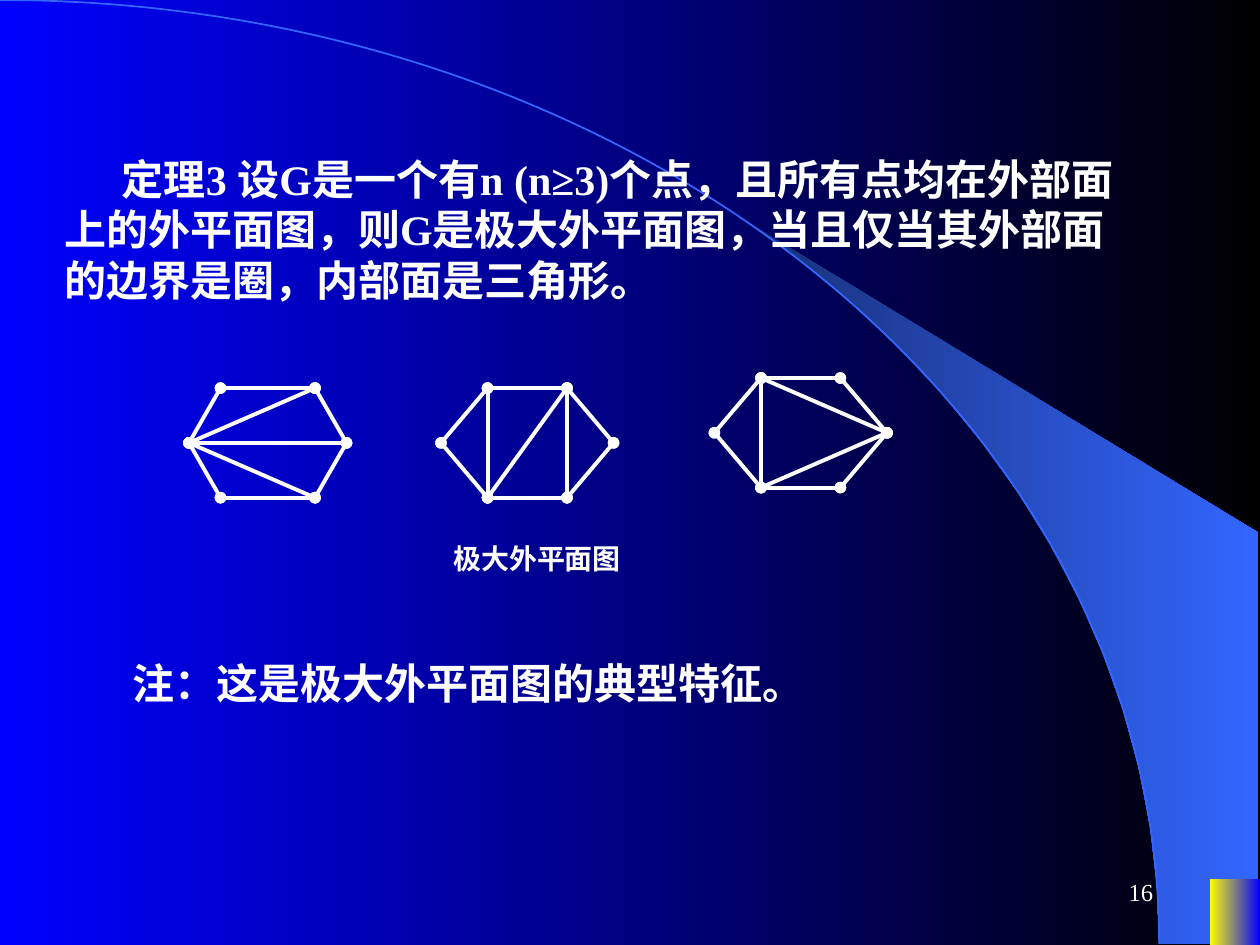
from math import asin, cos, pi, sin

from lxml import etree
from pptx import Presentation
from pptx import util as u
from pptx.dml.color import RGBColor
from pptx.enum import shapes, text
from pptx.oxml.ns import qn

WIDTH, HEIGHT = 10, 7.5
FONT, WHITE, SKY = "Times New Roman", "FFFFFF", "3366FF"
ARC_RX, ARC_RY = 9.2, 7.49
ARC_CONTROLS = [(5.08, 0), (ARC_RX, 3.35), (ARC_RX, ARC_RY)]

THEOREM = ("定理3 设G是一个有n (n≥3)个点，且所有点均在外部面上的外平面图，"
           "则G是极大外平面图，当且仅当其外部面的边界是圈，内部面是三角形。")
CAPTION = "极大外平面图"
NOTE = "注：这是极大外平面图的典型特征。"
PAGE = "16"

# Hexagon corners run clockwise: 0 left, 1-2 top, 3 right, 4-5 bottom.
# left, top, slant (width of a pointed end), span (length of a flat side), diagonals
GRAPHS = [
    (1.5, 3.08, 0.25, 0.75, [(0, 2), (0, 3), (0, 4)]),
    (5.67, 3.0, 0.37, 0.63, [(1, 3), (1, 5), (3, 5)]),
    (3.5, 3.08, 0.37, 0.63, [(1, 5), (2, 4), (2, 5)]),
]
GRAPH_HEIGHT = 0.87
RIM = [(i, (i + 1) % 6) for i in range(6)]


def color(value):
    return RGBColor.from_string(value)


def fill_gradient(fill, *colors):
    fill.gradient()
    fill.gradient_angle = 0
    for stop, value in zip(fill.gradient_stops, colors):
        stop.color.rgb = color(value)


def add_text(parent, words, left, top, width, height, size=24, bold=True,
             indent=0, before=0, align=text.PP_ALIGN.LEFT,
             anchor=text.MSO_ANCHOR.TOP, grow=True):
    box = parent.add_textbox(*map(u.Inches, (left, top, width, height)))
    frame = box.text_frame
    frame.word_wrap = True
    frame.vertical_anchor = anchor
    if grow:
        frame.auto_size = text.MSO_AUTO_SIZE.SHAPE_TO_FIT_TEXT
    paragraph = frame.paragraphs[0]
    paragraph.alignment = align
    paragraph.space_before = u.Pt(before)
    if indent:
        properties = paragraph._p.get_or_add_pPr()
        properties.set("marL", "0")
        properties.set("indent", str(u.Inches(indent)))
    run = paragraph.add_run()
    run.text = words
    run.font.name, run.font.size, run.font.bold = FONT, u.Pt(size), bold
    run.font.color.rgb = color(WHITE)


def add_outline(parent, points, close):
    first, *rest = [tuple(map(u.Inches, point)) for point in points]
    builder = parent.build_freeform(*first)
    builder.add_line_segments(rest, close=close)
    outline = builder.convert_to_shape()
    outline.shadow.inherit = False
    return outline


def bend(outline, controls):
    """Turn the only segment of an outline that starts at 0, 0 into a curve."""
    segment = next(outline._element.iter(qn("a:lnTo")))
    curve = etree.Element(qn("a:cubicBezTo"))
    for x, y in controls:
        etree.SubElement(curve, qn("a:pt"), x=str(u.Inches(x)), y=str(u.Inches(y)))
    segment.getparent().replace(segment, curve)


def arc_points(start_x, steps=14):
    """Points on the quarter ellipse from start_x down to its right end."""
    start = asin(start_x / ARC_RX)
    angles = [start + (pi / 2 - start) * i / steps for i in range(steps + 1)]
    return [(ARC_RX * sin(a), ARC_RY * (1 - cos(a))) for a in angles]


def add_edge(parent, start, end):
    edge = parent.add_connector(shapes.MSO_CONNECTOR.STRAIGHT,
                                *map(u.Inches, (*start, *end)))
    edge.line.color.rgb = color(WHITE)
    edge.line.width = u.Pt(2.25)
    line = edge.line._get_or_add_ln()
    for tip in ("a:headEnd", "a:tailEnd"):
        etree.SubElement(line, qn(tip)).set("type", "oval")
    etree.SubElement(edge._element.spPr, qn("a:effectLst"))


def add_graph(parent, left, top, slant, span, diagonals):
    x1, x2, right = left + slant, left + slant + span, left + 2 * slant + span
    middle, bottom = top + GRAPH_HEIGHT / 2, top + GRAPH_HEIGHT
    corners = [(left, middle), (x1, top), (x2, top),
               (right, middle), (x2, bottom), (x1, bottom)]
    for a, b in RIM + diagonals:
        add_edge(parent, corners[a], corners[b])


def add_backdrop(slide):
    fill_gradient(slide.background.fill, "0000FF", "000000")

    wedge = add_outline(slide.shapes, arc_points(5.89)
                        + [(9.99, ARC_RY), (9.99, 4.23)], close=True)
    fill_gradient(wedge.fill, "182F76", SKY)
    wedge.line.fill.background()

    arc = add_outline(slide.shapes, [(0, 0), (ARC_RX, ARC_RY)], close=False)
    bend(arc, ARC_CONTROLS)
    arc.fill.background()
    arc.line.color.rgb = color(SKY)
    arc.line.width = u.Pt(1)

    corner = slide.shapes.add_shape(
        shapes.MSO_SHAPE.RECTANGLE,
        *map(u.Inches, (WIDTH - 0.4, HEIGHT - 0.52, 0.4, 0.52)))
    corner.shadow.inherit = False
    fill_gradient(corner.fill, "FFFF00", "0000FF")
    corner.line.fill.background()


def main():
    deck = Presentation()
    deck.slide_width, deck.slide_height = u.Inches(WIDTH), u.Inches(HEIGHT)
    slide = deck.slides.add_slide(deck.slide_layouts[6])
    add_backdrop(slide)

    add_text(slide.shapes, PAGE, 7.17, 6.83, 2.08, 0.5, size=14, bold=False,
             align=text.PP_ALIGN.RIGHT, anchor=text.MSO_ANCHOR.MIDDLE, grow=False)
    add_text(slide.shapes, THEOREM, 0.41, 1.17, 8.75, 1.3, indent=0.46, before=15)

    figure = slide.shapes.add_group_shape().shapes
    for graph in GRAPHS:
        add_graph(figure, *graph)
    add_text(figure, CAPTION, 3.5, 4.25, 2.27, 0.37, size=16)

    add_text(slide.shapes, NOTE, 0.49, 5.17, 8.75, 0.5, indent=0.46, before=15)
    deck.save("out.pptx")


if __name__ == "__main__":
    main()
